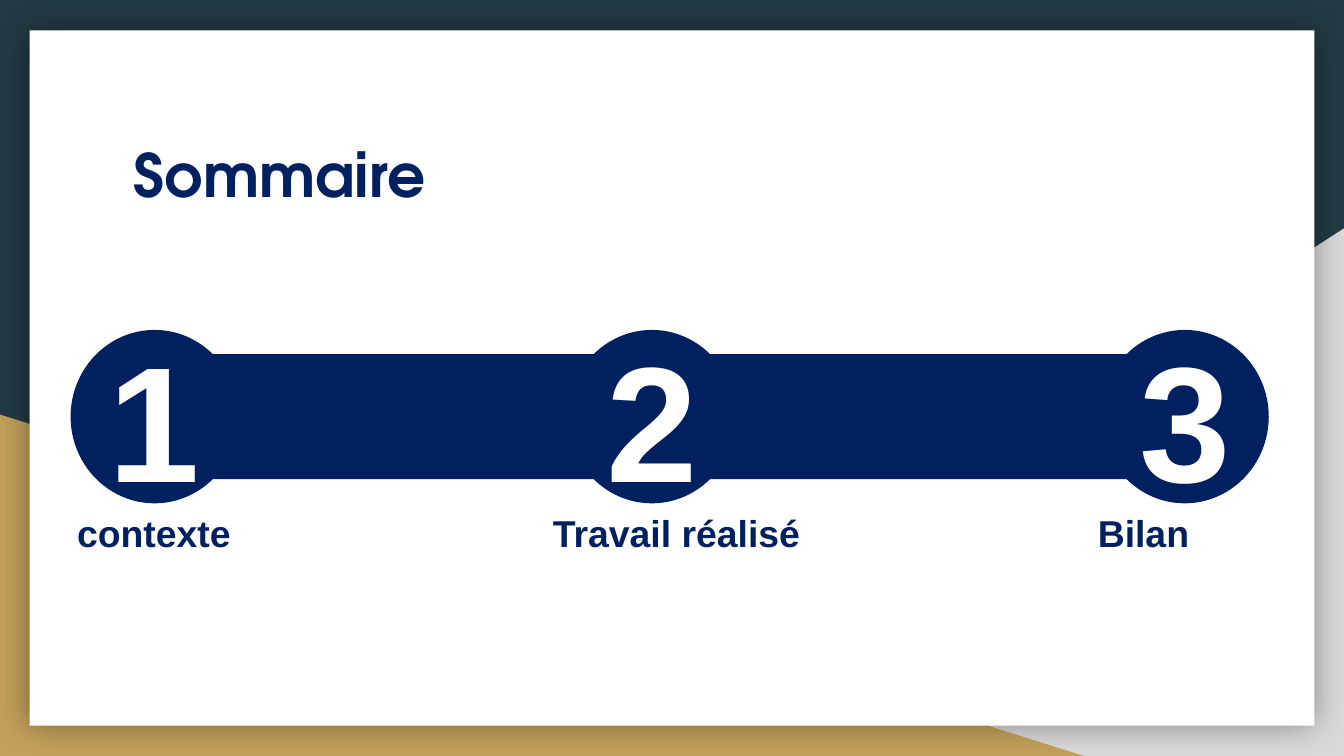
from typing import NamedTuple

from lxml import etree
from pptx import Presentation
from pptx import util as u
from pptx.dml.color import RGBColor
from pptx.enum import shapes, text
from pptx.oxml.ns import qn

PX = 4572  # 200 px to the inch
SLIDE_WIDTH, SLIDE_HEIGHT = 2000, 1125

SLATE = RGBColor(0x23, 0x3A, 0x44)
GREY = RGBColor(0xD9, 0xD9, 0xD9)
GOLD = RGBColor(0xC4, 0xA1, 0x5A)
WHITE = RGBColor(0xFF, 0xFF, 0xFF)
NAVY = RGBColor(0x00, 0x20, 0x60)


class Box(NamedTuple):
    left: int
    top: int
    width: int
    height: int

    def emu(self) -> list[int]:
        return [side * PX for side in self]


class Step(NamedTuple):
    number: str
    label: str
    circle_left: int
    label_left: int
    label_width: int


STEPS = [
    Step("1", "contexte", 105, 95, 292),
    Step("2", "Travail réalisé", 845, 803, 418),
    Step("3", "Bilan", 1638, 1614, 292),
]


def write(shape, words: str, *, size: int, color: RGBColor, font: str = "Arial",
          align=text.PP_ALIGN.LEFT, anchor=text.MSO_ANCHOR.TOP,
          inset_x: int = 20, inset_y: int = 10) -> None:
    frame = shape.text_frame
    frame.word_wrap = True
    frame.auto_size = text.MSO_AUTO_SIZE.NONE
    frame.vertical_anchor = anchor
    frame.margin_left = frame.margin_right = inset_x * PX
    frame.margin_top = frame.margin_bottom = inset_y * PX
    paragraph = frame.paragraphs[0]
    paragraph.alignment = align
    run = paragraph.add_run()
    run.text = words
    run.font.name = font
    run.font.size = u.Pt(size)
    run.font.bold = True
    run.font.color.rgb = color


def add_block(slide, kind, box: Box, color: RGBColor):
    block = slide.shapes.add_shape(kind, *box.emu())
    block.shadow.inherit = False
    block.fill.solid()
    block.fill.fore_color.rgb = color
    block.line.fill.background()
    return block


def add_glow(block, blur: int, opacity: int) -> None:
    effects = block._element.spPr.find(qn("a:effectLst"))
    shadow = etree.SubElement(effects, qn("a:outerShdw"), blurRad=str(u.Pt(blur)),
                              dist="0", dir="0", algn="ctr", rotWithShape="0")
    black = etree.SubElement(shadow, qn("a:srgbClr"), val="000000")
    etree.SubElement(black, qn("a:alpha"), val=str(opacity * 1000))


def add_backdrop(slide) -> None:
    slide.background.fill.solid()
    slide.background.fill.fore_color.rgb = SLATE
    triangle = shapes.MSO_SHAPE.RIGHT_TRIANGLE
    right_corner = add_block(slide, triangle, Box(783, 340, 1217, 785), GREY)
    right_corner._element.spPr.find(qn("a:xfrm")).set("flipH", "1")
    add_block(slide, triangle, Box(0, 617, 1613, 508), GOLD)
    page = add_block(slide, shapes.MSO_SHAPE.RECTANGLE, Box(44, 45, 1912, 1035), WHITE)
    add_glow(page, blur=18, opacity=40)


def add_title(slide, words: str, box: Box) -> None:
    title = slide.shapes.title
    title.left, title.top, title.width, title.height = box.emu()
    write(title, words, size=32, color=NAVY, font="TeX Gyre Adventor", inset_y=20)
    slide.shapes._spTree.append(title._element)  # in front of the backdrop


def add_step(slide, step: Step) -> None:
    circle = add_block(slide, shapes.MSO_SHAPE.OVAL,
                       Box(step.circle_left, 491, 250, 258), NAVY)
    write(circle, step.number, size=88, color=WHITE, align=text.PP_ALIGN.CENTER,
          anchor=text.MSO_ANCHOR.MIDDLE, inset_x=0)
    label = slide.shapes.add_textbox(*Box(step.label_left, 749, step.label_width, 88).emu())
    write(label, step.label, size=20, color=NAVY)


def main() -> None:
    deck = Presentation()
    deck.slide_width, deck.slide_height = SLIDE_WIDTH * PX, SLIDE_HEIGHT * PX
    slide = deck.slides.add_slide(deck.slide_layouts[5])

    # Backdrop and heading
    add_backdrop(slide)
    add_title(slide, "Sommaire", Box(179, 185, 1642, 208))

    # Bar joining the numbered steps
    add_block(slide, shapes.MSO_SHAPE.RECTANGLE, Box(180, 527, 1540, 186), NAVY)
    for step in STEPS:
        add_step(slide, step)

    deck.save("out.pptx")


if __name__ == "__main__":
    main()
